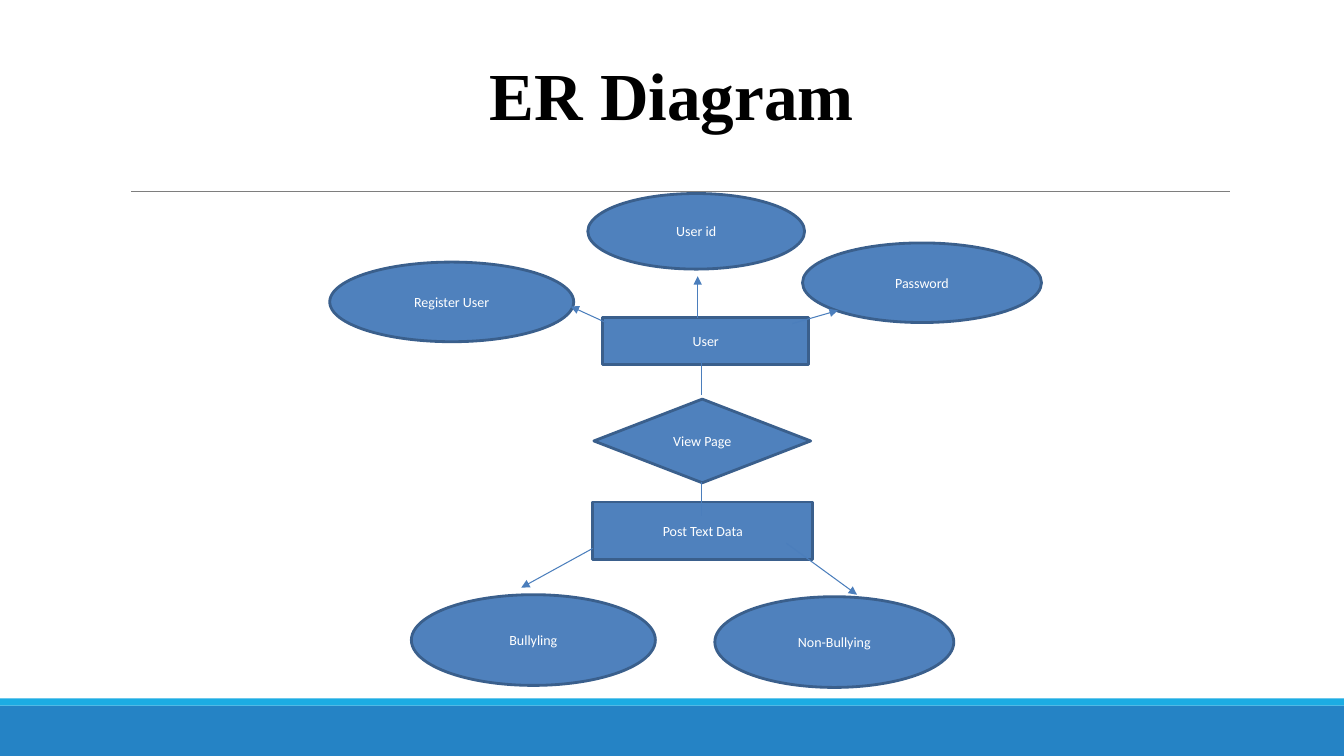
import pptx
import pptx.util
import pptx.dml.color
import pptx.enum.shapes
import pptx.enum.text
import pptx.oxml
import pptx.oxml.ns
from dataclasses import dataclass

Inches = pptx.util.Inches
Pt = pptx.util.Pt
SHAPE = pptx.enum.shapes.MSO_SHAPE


@dataclass(frozen=True)
class Theme:
    band: str = "2583C5"
    stripe: str = "1CACE3"
    rule: str = "7E7E7E"
    node: str = "4F81BD"
    outline: str = "3A5F8C"
    link: str = "4B7EBC"
    title: str = "000000"
    label: str = "FFFFFF"
    title_font: str = "Times New Roman"
    label_font: str = "Calibri"
    title_size: int = 48
    label_size: int = 10
    outline_width: float = 2
    link_width: float = 0.75
    rule_width: float = 0.5


THEME = Theme()

# Shape, label, left, top, width, height
NODES = [
    (SHAPE.RECTANGLE, "User", 5.98, 3.15, 2.04, 0.47),
    (SHAPE.OVAL, "Register User", 3.27, 2.6, 2.42, 0.79),
    (SHAPE.OVAL, "User id", 5.83, 1.92, 2.15, 0.75),
    (SHAPE.OVAL, "Password", 7.96, 2.41, 2.37, 0.79),
    (SHAPE.DIAMOND, "View Page", 5.89, 3.96, 2.15, 0.83),
    (SHAPE.RECTANGLE, "Post Text Data", 5.88, 4.98, 2.18, 0.57),
    (SHAPE.OVAL, "Bullyling", 4.08, 5.9, 2.42, 0.9),
    (SHAPE.OVAL, "Non-Bullying", 7.09, 5.92, 2.37, 0.9),
]

# Start x, y, end x, y
ARROWS = [
    (6.92, 3.15, 6.92, 2.74),  # User to User id
    (7.86, 3.21, 8.31, 3.08),  # User to Password
    (6.01, 3.2, 5.66, 3.04),   # User to Register User
    (5.88, 5.44, 5.17, 5.83),  # Post Text Data to Bullyling
    (7.8, 5.39, 8.5, 5.9),     # Post Text Data to Non-Bullying
]
RELATIONS = [
    (6.96, 3.58, 6.96, 3.92),  # User to View Page
    (6.96, 4.78, 6.96, 5.12),  # View Page to Post Text Data
]


def rgb(color):
    return pptx.dml.color.RGBColor.from_string(color)


def style_text(tf, font, size, color, bold=False):
    p = tf.paragraphs[0]
    p.alignment = pptx.enum.text.PP_ALIGN.CENTER
    r = p.runs[0]
    r.font.name = font
    r.font.size = Pt(size)
    r.font.bold = bold
    r.font.color.rgb = rgb(color)


def add_filled(slide, kind, left, top, width, height, color):
    sp = slide.shapes.add_shape(kind, Inches(left), Inches(top), Inches(width), Inches(height))
    sp.shadow.inherit = False
    sp.fill.solid()
    sp.fill.fore_color.rgb = rgb(color)
    sp.line.fill.background()
    return sp


def add_node(slide, kind, label, left, top, width, height):
    sp = add_filled(slide, kind, left, top, width, height, THEME.node)
    sp.line.color.rgb = rgb(THEME.outline)
    sp.line.width = Pt(THEME.outline_width)
    tf = sp.text_frame
    tf.text = label
    tf.word_wrap = True
    tf.vertical_anchor = pptx.enum.text.MSO_ANCHOR.MIDDLE
    style_text(tf, THEME.label_font, THEME.label_size, THEME.label)


def add_line(slide, ends, color, width, arrow=False):
    line = slide.shapes.add_connector(
        pptx.enum.shapes.MSO_CONNECTOR.STRAIGHT, *[Inches(v) for v in ends])
    line.line.color.rgb = rgb(color)
    line.line.width = Pt(width)
    if arrow:
        ln = line.line._get_or_add_ln()
        tail = pptx.oxml.parse_xml(
            '<a:tailEnd %s type="triangle"/>' % pptx.oxml.ns.nsdecls("a"))
        ln.append(tail)
    effects = pptx.oxml.parse_xml("<a:effectLst %s/>" % pptx.oxml.ns.nsdecls("a"))
    line._element.spPr.append(effects)


def set_title(slide, text):
    title = slide.shapes.title
    title.left, title.top = Inches(3.87), Inches(0.53)
    title.width, title.height = Inches(5.59), Inches(0.81)
    tf = title.text_frame
    tf.text = text
    tf.margin_left = tf.margin_right = tf.margin_top = tf.margin_bottom = 0
    tf.vertical_anchor = pptx.enum.text.MSO_ANCHOR.TOP
    style_text(tf, THEME.title_font, THEME.title_size, THEME.title, bold=True)


def main():
    prs = pptx.Presentation()
    prs.slide_width, prs.slide_height = Inches(13.33), Inches(7.5)
    slide = prs.slides.add_slide(prs.slide_layouts[5])  # Title Only

    # Footer bands and title rule
    add_filled(slide, SHAPE.RECTANGLE, 0, 7, 13.33, 0.5, THEME.band)
    add_filled(slide, SHAPE.RECTANGLE, 0, 6.93, 13.33, 0.07, THEME.stripe)
    add_line(slide, (1.3, 1.9, 12.2, 1.9), THEME.rule, THEME.rule_width)

    set_title(slide, "ER Diagram")

    # Entities, attributes and the relationship
    for node in NODES:
        add_node(slide, *node)

    # Links
    for ends in ARROWS:
        add_line(slide, ends, THEME.link, THEME.link_width, arrow=True)
    for ends in RELATIONS:
        add_line(slide, ends, THEME.link, THEME.link_width)

    prs.save("out.pptx")


main()
